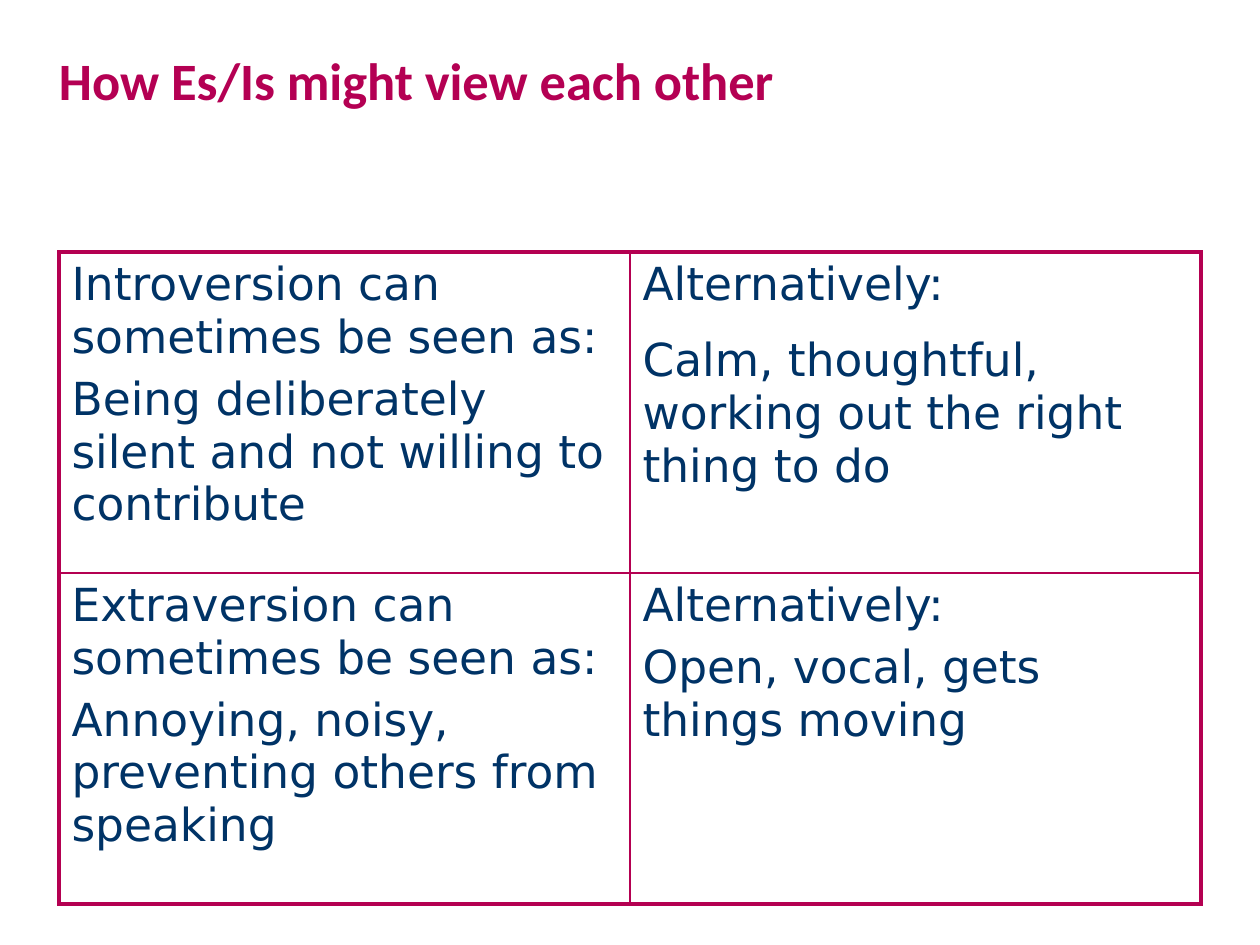
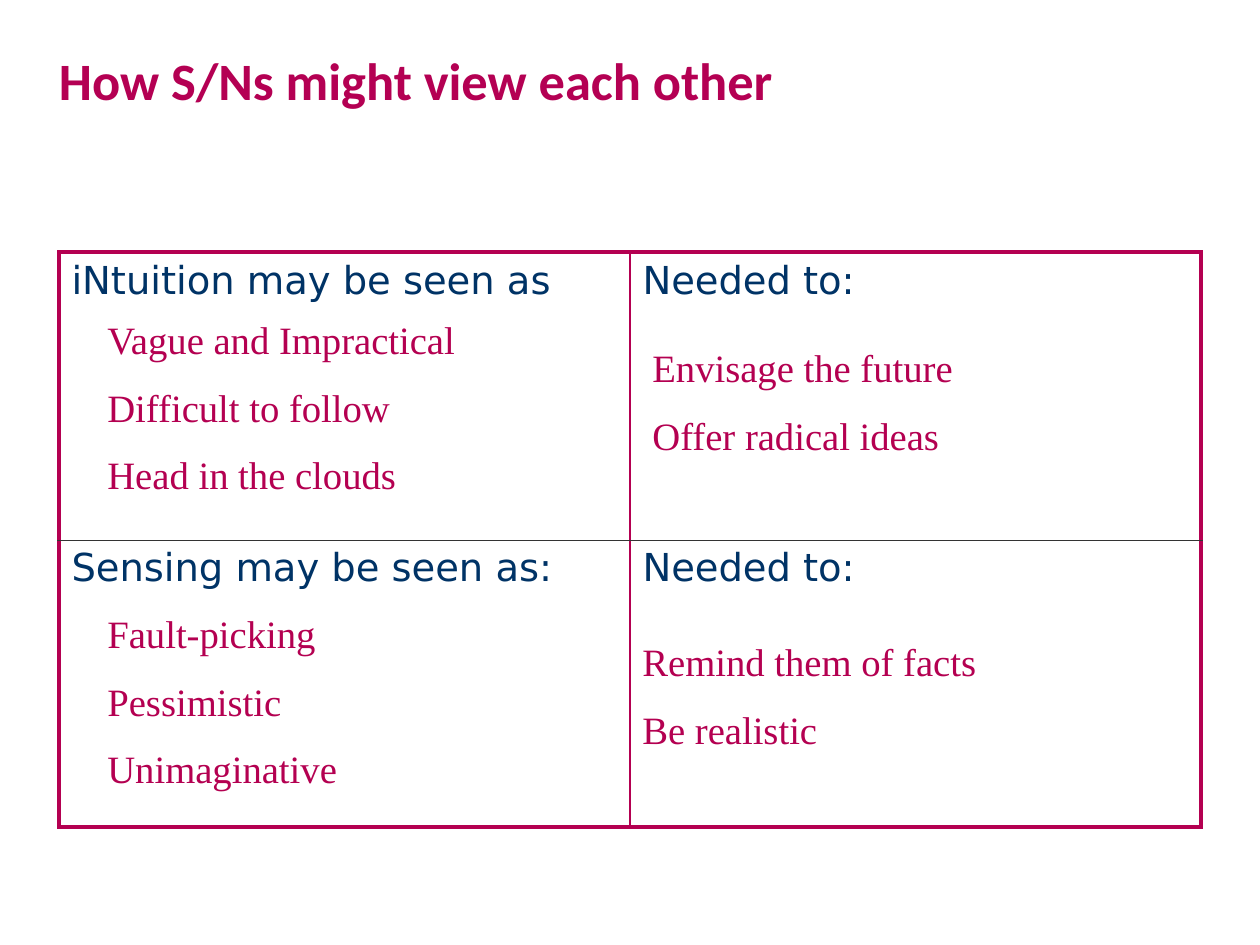
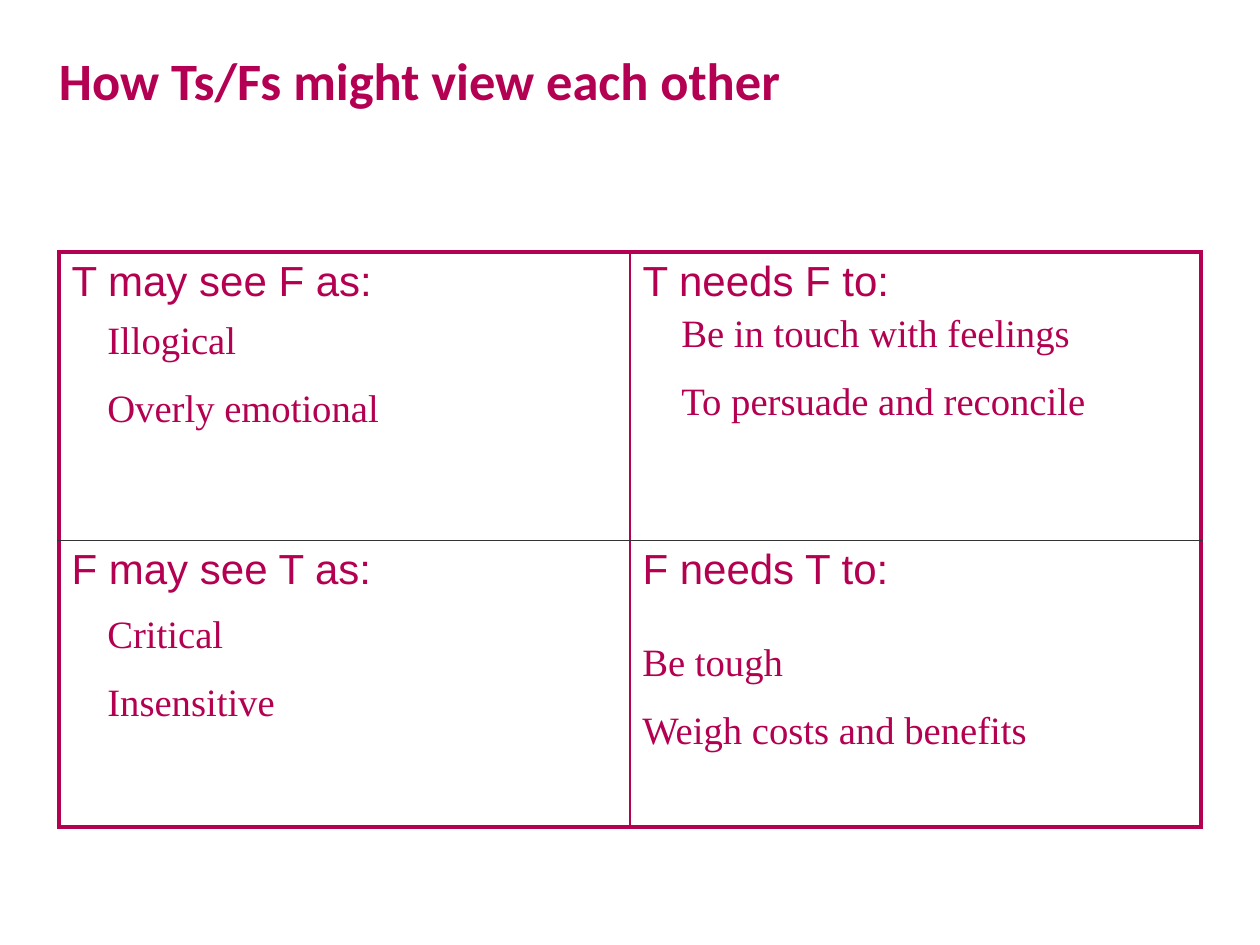
import pptx
import pptx.dml.color
import pptx.enum.text
import pptx.oxml
import pptx.oxml.ns
import pptx.util

CRIMSON, TITLE_RED, NAVY, DARK = "B40051", "B40053", "003366", "333333"
OUTER, INNER, HAIRLINE = (CRIMSON, 2.25), (CRIMSON, 1), (DARK, 0.5)
MARGIN, TITLE_HEIGHT, TABLE_TOP, COLUMN_WIDTH = 59, 184, 252, 571

# Each cell is (space between paragraphs in pt, paragraphs).
# Each list is (left, top, width, items).
SLIDES = [
    {
        "title": "How Es/Is might view each other",
        "font": ("DejaVu Sans", 26, NAVY),
        "row_heights": (321, 331),
        "divider": INNER,
        "cells": [
            [(5, ["Introversion can sometimes be seen as:",
                  "Being deliberately silent and not willing to contribute"]),
             (13, ["Alternatively:",
                   "Calm, thoughtful, working out the right thing to do"])],
            [(5, ["Extraversion can sometimes be seen as:",
                  "Annoying, noisy, preventing others from speaking"]),
             (5, ["Alternatively:", "Open, vocal, gets things moving"])],
        ],
        "lists": [],
    },
    {
        "title": "How S/Ns might view each other",
        "font": ("DejaVu Sans", 22, NAVY),
        "row_heights": (288, 287),
        "divider": HAIRLINE,
        "cells": [
            [(0, ["iNtuition may be seen as"]), (0, ["Needed to:"])],
            [(0, ["Sensing may be seen as:"]), (0, ["Needed to:"])],
        ],
        "lists": [
            (95, 307, 507, ["Vague and Impractical", "Difficult to follow",
                            "Head in the clouds"]),
            (640, 335, 507, ["Envisage the future", "Offer radical ideas"]),
            (95, 601, 507, ["Fault-picking", "Pessimistic", "Unimaginative"]),
            (630, 629, 556, ["Remind them of facts", "Be realistic"]),
        ],
    },
    {
        "title": "How Ts/Fs might view each other",
        "font": ("Arial", 24, CRIMSON),
        "row_heights": (288, 287),
        "divider": HAIRLINE,
        "cells": [
            [(0, ["T may see F as:"]), (0, ["T needs F to:"])],
            [(0, ["F may see T as:"]), (0, ["F needs T to:"])],
        ],
        "lists": [
            (95, 307, 507, ["Illogical", "Overly emotional"]),
            (669, 300, 507, ["Be in touch with feelings", "To persuade and reconcile"]),
            (95, 601, 507, ["Critical", "Insensitive"]),
            (630, 629, 556, ["Be tough", "Weigh costs and benefits"]),
        ],
    },
]


def px(length):
    return pptx.util.Emu(round(length * 914400 / 126))


def rgb(hex_colour):
    return pptx.dml.color.RGBColor.from_string(hex_colour)


def write(frame, paragraphs, font, gap=0):
    """Fill a text frame, with gap points between its paragraphs."""
    name, size, colour = font
    for index, text in enumerate(paragraphs):
        paragraph = frame.add_paragraph() if index else frame.paragraphs[0]
        paragraph.text = text
        paragraph.alignment = pptx.enum.text.PP_ALIGN.LEFT
        paragraph.space_before = pptx.util.Pt(gap if index else 0)
        paragraph.font.name = name
        paragraph.font.size = pptx.util.Pt(size)
        paragraph.font.color.rgb = rgb(colour)


def add_border(cell, side, line):
    colour, width = line
    cell._tc.get_or_add_tcPr().append(pptx.oxml.parse_xml(
        f'<a:ln{side} {pptx.oxml.ns.nsdecls("a")} w="{pptx.util.Pt(width)}">'
        f'<a:solidFill><a:srgbClr val="{colour}"/></a:solidFill></a:ln{side}>'))


def add_title(slide, text):
    title = slide.shapes.title
    title.left, title.top = px(MARGIN), px(MARGIN)
    title.width, title.height = px(2 * COLUMN_WIDTH), px(TITLE_HEIGHT)
    frame = title.text_frame
    frame.margin_left = frame.margin_right = frame.margin_top = frame.margin_bottom = 0
    frame.vertical_anchor = pptx.enum.text.MSO_ANCHOR.TOP
    frame.auto_size = pptx.enum.text.MSO_AUTO_SIZE.NONE
    write(frame, [text], ("Calibri", 30, TITLE_RED))
    frame.paragraphs[0].font.bold = True
    frame.paragraphs[0].line_spacing = pptx.util.Pt(30)


def add_views_table(slide, content):
    heights = content["row_heights"]
    table = slide.shapes.add_table(
        2, 2, px(MARGIN), px(TABLE_TOP), px(2 * COLUMN_WIDTH), px(sum(heights))).table
    table.first_row = table.horz_banding = False
    for column in table.columns:
        column.width = px(COLUMN_WIDTH)
    for row, height in enumerate(heights):
        table.rows[row].height = px(height)
        for column, (gap, paragraphs) in enumerate(content["cells"][row]):
            cell = table.cell(row, column)
            write(cell.text_frame, paragraphs, content["font"], gap)
            add_border(cell, "L", INNER if column else OUTER)
            add_border(cell, "R", OUTER if column else INNER)
            add_border(cell, "T", content["divider"] if row else OUTER)
            add_border(cell, "B", OUTER if row else content["divider"])
            cell.fill.background()


def add_list(slide, left, top, width, items):
    box = slide.shapes.add_textbox(px(left), px(top), px(width), px(66 * len(items)))
    box.text_frame.word_wrap = True
    box.text_frame.margin_top = px(9)
    write(box.text_frame, items, ("Times New Roman", 22.1, CRIMSON), gap=12)


def main():
    deck = pptx.Presentation()
    deck.slide_width, deck.slide_height = px(1260), px(945)
    for content in SLIDES:
        slide = deck.slides.add_slide(deck.slide_layouts[5])
        add_title(slide, content["title"])
        add_views_table(slide, content)
        for view in content["lists"]:
            add_list(slide, *view)
    deck.save("out.pptx")


if __name__ == "__main__":
    main()
